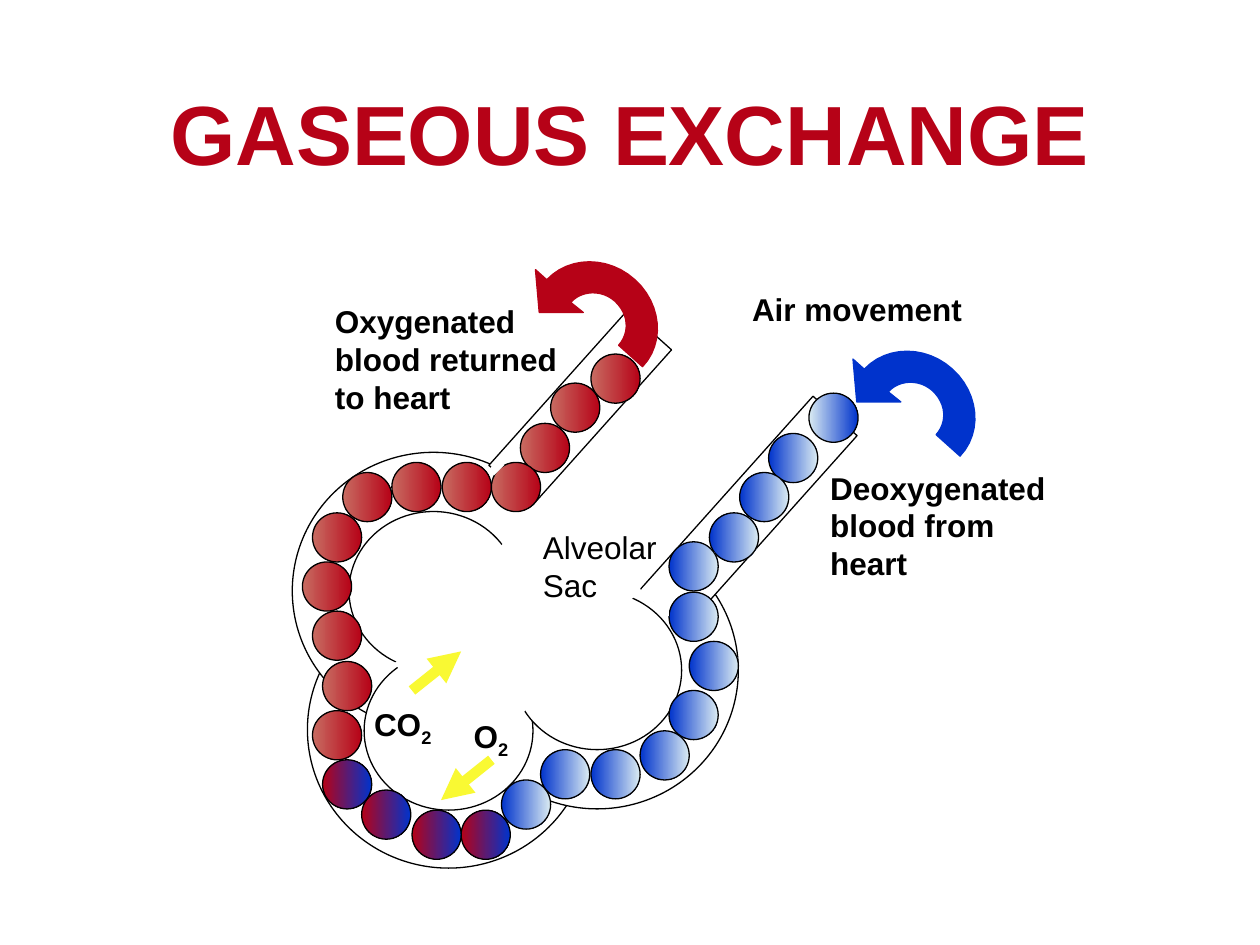
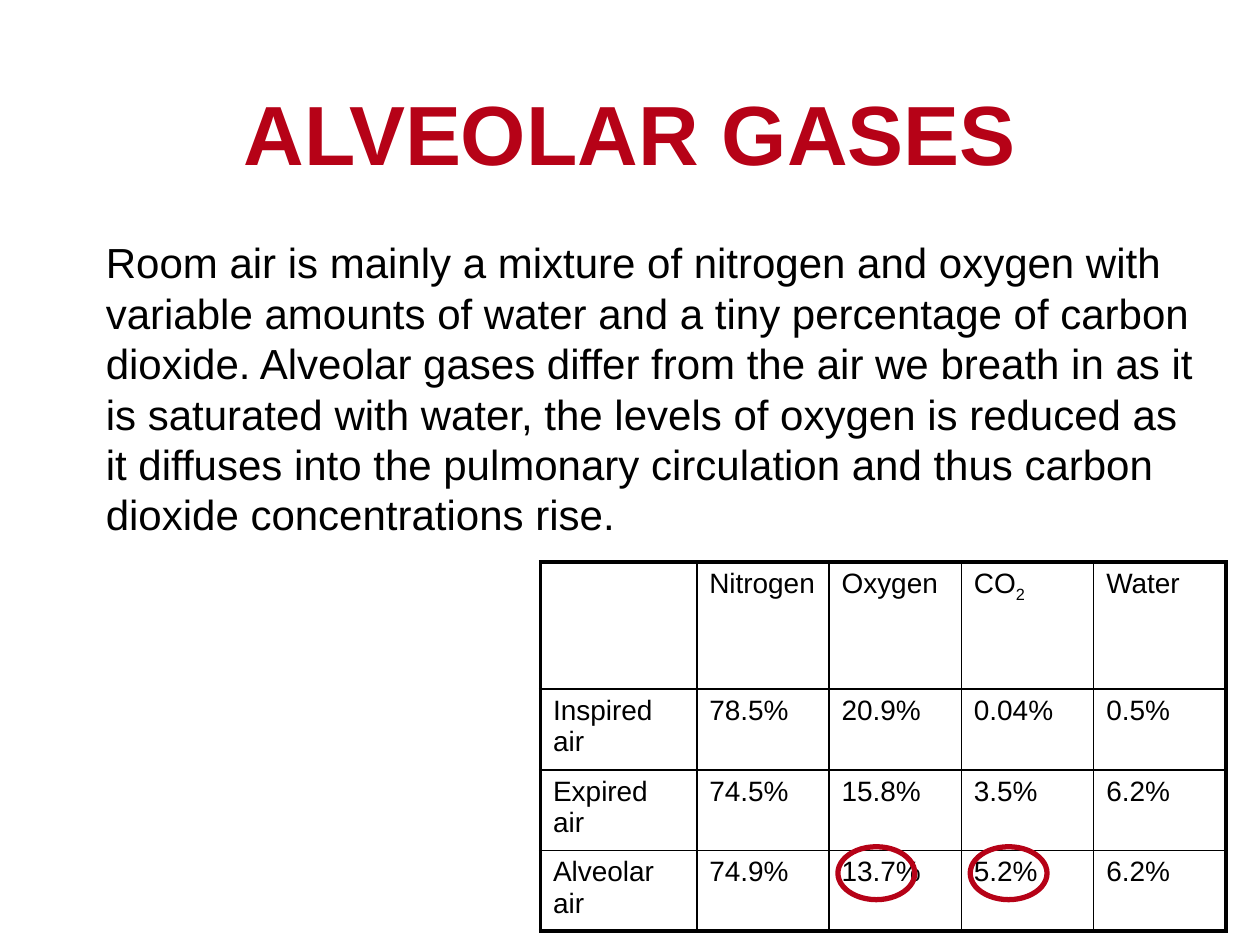
from lxml import etree
from pptx import Presentation
from pptx.dml.color import RGBColor
from pptx.enum.shapes import MSO_CONNECTOR, MSO_SHAPE
from pptx.enum.text import MSO_ANCHOR, MSO_AUTO_SIZE, PP_ALIGN
from pptx.oxml.ns import qn
from pptx.util import Inches, Pt

OVAL = MSO_SHAPE.OVAL
RECTANGLE = MSO_SHAPE.RECTANGLE
STRAIGHT = MSO_CONNECTOR.STRAIGHT
TOP = MSO_ANCHOR.TOP
NO_AUTO_SIZE = MSO_AUTO_SIZE.NONE
CENTER = PP_ALIGN.CENTER
TITLE_ONLY, TITLE_AND_CONTENT = 5, 1
FONT = "Arial"
COLORS = {
    "black": "000000",
    "white": "FFFFFF",
    "red": "B60217",
    "pale red": "C86C62",
    "blue": "0033CC",
    "pale blue": "DAEBF2",
    "yellow": "F9F933",
}
CELL_SIZE = 0.39

OXYGENATED = ("pale red", "red")
EXCHANGING = ("red", "blue")
DEOXYGENATED = ("blue", "pale blue")

SAC_WALLS = [(2.44, 4.69), (2.32, 3.59), (3.62, 4.22)]
SAC_LUMENS = [(2.89, 5.17), (2.77, 4.06), (4.07, 4.69)]
SAC_CELLS = [
    (EXCHANGING, [(3.66, 6.43), (3.27, 6.43), (2.87, 6.27), (2.56, 6.03)]),
    (DEOXYGENATED, [(3.98, 6.19), (4.29, 5.95), (4.69, 5.95), (5.08, 5.8),
                    (5.31, 5.48), (5.47, 5.09)]),
    (OXYGENATED, [(2.72, 3.75), (3.11, 3.67), (2.48, 5.64), (2.56, 5.25),
                  (2.48, 4.85), (2.4, 4.46), (2.48, 4.07)]),
]
ARRIVING_CELLS = [(6.1, 3.44), (5.87, 3.75), (5.63, 4.07), (5.31, 4.3), (5.31, 4.7)]
RETURNING_CELLS = [(4.13, 3.36), (4.37, 3.04), (4.69, 2.81), (3.51, 3.67), (3.9, 3.67)]

# Curved arrow: two Bezier curves along the inside, two back along the outside
INNER_CURVES = [[(7.05, 3.11), (7.14, 3.01), (7.3, 3.01), (7.4, 3.1)],
                [(7.4, 3.1), (7.51, 3.2), (7.52, 3.35), (7.43, 3.45)]]
OUTER_CURVES = [[(7.62, 3.62), (7.8, 3.43), (7.77, 3.12), (7.56, 2.93)],
                [(7.56, 2.93), (7.35, 2.74), (7.04, 2.74), (6.86, 2.93)]]
ARROW_HEAD = [(6.77, 2.85), (6.8, 3.19), (7.15, 3.19)]

GAS_TABLE = [
    ["", "Nitrogen", "Oxygen", "CO_2", "Water"],
    ["Inspired air", "78.5%", "20.9%", "0.04%", "0.5%"],
    ["Expired air", "74.5%", "15.8%", "3.5%", "6.2%"],
    ["Alveolar air", "74.9%", "13.7%", "5.2%", "6.2%"],
]
ROOM_AIR_TEXT = (
    "Room air is mainly a mixture of nitrogen and oxygen with variable amounts of "
    "water and a tiny percentage of carbon dioxide. Alveolar gases differ from the "
    "air we breath in as it is saturated with water, the levels of oxygen is reduced "
    "as it diffuses into the pulmonary circulation and thus carbon dioxide "
    "concentrations rise."
)


def rgb(name):
    return RGBColor.from_string(COLORS[name])


def box(*lengths):
    return [Inches(length) for length in lengths]


def curve_points(curve, steps=12):
    """Return points along a cubic Bezier curve."""
    points = []
    for step in range(steps + 1):
        t = step / steps
        weights = ((1 - t) ** 3, 3 * t * (1 - t) ** 2, 3 * t ** 2 * (1 - t), t ** 3)
        points.append(tuple(sum(w * p[axis] for w, p in zip(weights, curve))
                            for axis in (0, 1)))
    return points


class Deck:
    def __init__(self):
        self.presentation = Presentation()
        self.presentation.slide_width = Inches(10)
        self.presentation.slide_height = Inches(7.5)
        self.slide = None

    def add_slide(self, layout, title):
        layouts = self.presentation.slide_layouts
        self.slide = self.presentation.slides.add_slide(layouts[layout])
        shape = self.slide.shapes.title
        self.place(shape, 0.36, 0.6, 9.28, 1.42)
        self.set_text(shape.text_frame, title, 48, "red", bold=True)
        shape.text_frame.paragraphs[0].alignment = CENTER

    def place(self, shape, *bounds):
        shape.left, shape.top, shape.width, shape.height = box(*bounds)
        frame = shape.text_frame
        frame.word_wrap = True
        frame.auto_size = NO_AUTO_SIZE
        frame.vertical_anchor = TOP

    def set_text(self, frame, text, size, color="black", bold=False):
        """Fill the first paragraph; an underscore starts a subscript."""
        paragraph = frame.paragraphs[0]
        base, _, subscript = text.partition("_")
        paragraph.add_run().text = base
        if subscript:
            run = paragraph.add_run()
            run.text = subscript
            run.font._element.set("baseline", "-25000")
        paragraph.space_before = Pt(0)
        font = paragraph.font
        font.name, font.size, font.bold = FONT, Pt(size), bold
        font.color.rgb = rgb(color)

    def body(self, text, *bounds):
        shape = self.slide.placeholders[1]
        self.place(shape, *bounds)
        shape.text_frame.margin_top = Inches(0.1)
        properties = shape.text_frame.paragraphs[0]._p.get_or_add_pPr()
        properties.set("marL", str(Inches(0.38)))
        properties.set("indent", "0")
        etree.SubElement(properties, qn("a:buNone"))
        self.set_text(shape.text_frame, text, 24)

    def label(self, text, *bounds, bold=True):
        shape = self.slide.shapes.add_textbox(*box(*bounds))
        shape.text_frame.word_wrap = True
        self.set_text(shape.text_frame, text, 18, bold=bold)

    def paint(self, shape, fill, line, weight=0.75):
        shape.shadow.inherit = False
        if fill is None:
            shape.fill.background()
        else:
            shape.fill.solid()
            shape.fill.fore_color.rgb = rgb(fill)
        if line is None:
            shape.line.fill.background()
        else:
            shape.line.color.rgb = rgb(line)
            shape.line.width = Pt(weight)

    def shape(self, kind, *bounds, fill="white", line=None, weight=0.75, rotation=0):
        shape = self.slide.shapes.add_shape(kind, *box(*bounds))
        shape.rotation = rotation
        self.paint(shape, fill, line, weight)
        return shape

    def blood_cells(self, gradient, positions):
        for left, top in positions:
            cell = self.shape(OVAL, left, top, CELL_SIZE, CELL_SIZE, line="black")
            cell.fill.gradient()
            cell.fill.gradient_angle = 0
            for stop, color in zip(cell.fill.gradient_stops, gradient):
                stop.color.rgb = rgb(color)

    def line(self, start, end, color, weight, arrow=False):
        connector = self.slide.shapes.add_connector(STRAIGHT, *box(*start, *end))
        connector.line.color.rgb = rgb(color)
        connector.line.width = Pt(weight)
        if arrow:
            etree.SubElement(connector.line._get_or_add_ln(), qn("a:tailEnd"),
                             type="triangle")
        etree.SubElement(connector._element.spPr, qn("a:effectLst"))

    def curved_arrow(self, color, shift_x=0, shift_y=0):
        points = [point for curve in INNER_CURVES + OUTER_CURVES
                  for point in curve_points(curve)] + ARROW_HEAD
        corners = [box(x + shift_x, y + shift_y) for x, y in points]
        builder = self.slide.shapes.build_freeform(*corners[0])
        builder.add_line_segments(corners[1:], close=True)
        self.paint(builder.convert_to_shape(), color, color)

    def table(self, rows, left, top, widths, heights):
        table = self.slide.shapes.add_table(
            len(rows), len(widths),
            *box(left, top, sum(widths), sum(heights))).table
        for column, width in zip(table.columns, widths):
            column.width = Inches(width)
        for row, height in zip(table.rows, heights):
            row.height = Inches(height)
        last_row, last_column = len(rows) - 1, len(widths) - 1
        for r, texts in enumerate(rows):
            for c, text in enumerate(texts):
                cell = table.cell(r, c)
                self.border(cell, {"L": c == 0, "R": c == last_column,
                                   "T": r == 0, "B": r == last_row})
                cell.fill.solid()
                cell.fill.fore_color.rgb = rgb("white")
                if text:
                    self.set_text(cell.text_frame, text, 16)

    def border(self, cell, outer_sides):
        properties = cell._tc.get_or_add_tcPr()
        for side, is_outer in outer_sides.items():
            line = etree.SubElement(properties, qn(f"a:ln{side}"),
                                    w=str(Pt(2.25 if is_outer else 1)))
            fill = etree.SubElement(line, qn("a:solidFill"))
            etree.SubElement(fill, qn("a:srgbClr"), val=COLORS["black"])


def add_gaseous_exchange(deck):
    deck.add_slide(TITLE_ONLY, "GASEOUS EXCHANGE")

    # Alveolar sac
    for left, top in SAC_WALLS:
        deck.shape(OVAL, left, top, 2.24, 2.2, line="black")
    for left, top in SAC_LUMENS:
        deck.shape(OVAL, left, top, 1.34, 1.26, line="black")
        deck.shape(OVAL, left + 0.04, top + 0.04, 1.26, 1.18)
    deck.shape(RECTANGLE, 4.29, 3.23, 1.76, 1.08, line="white", rotation=312.1)
    deck.shape(RECTANGLE, 2.87, 3.67, 3.86, 1.02, rotation=312.1)
    for gradient, positions in SAC_CELLS:
        deck.blood_cells(gradient, positions)

    # Gases crossing the wall
    deck.label("CO_2", 2.87, 5.55, 0.79, 0.4)
    deck.line((3.27, 5.48), (3.66, 5.17), "yellow", 6, arrow=True)
    deck.label("O_2", 3.66, 5.64, 0.79, 0.4)
    deck.line((3.9, 6.03), (3.5, 6.35), "yellow", 6, arrow=True)

    # Vessels to and from the heart
    deck.shape(RECTANGLE, 4.92, 3.83, 2.05, 0.47, line="black", rotation=311.8)
    deck.blood_cells(DEOXYGENATED, ARRIVING_CELLS)
    deck.blood_cells(DEOXYGENATED[::-1], [(6.42, 3.12)])
    deck.shape(RECTANGLE, 3.78, 3, 1.65, 0.47, line="black", rotation=311.8)
    deck.blood_cells(OXYGENATED, RETURNING_CELLS)

    deck.label("Alveolar Sac", 4.21, 4.14, 1.34, 0.7, bold=False)
    deck.label("Air movement", 5.87, 2.25, 1.89, 0.4)
    deck.label("Deoxygenated blood from heart", 6.49, 3.67, 1.97, 1)
    deck.curved_arrow("blue")
    deck.curved_arrow("red", -2.52, -0.71)
    deck.label("Oxygenated blood returned to heart", 2.56, 2.35, 1.97, 1)

    # Openings where the vessels meet the sac
    deck.shape(RECTANGLE, 5.08, 4.69, 0.16, 0.08)
    deck.shape(RECTANGLE, 5.23, 4.77, 0.08, 0.08)
    for start, end in [((5.16, 4.69), (5.24, 4.77)), ((5.24, 4.85), (5.31, 4.85)),
                       ((5.08, 4.69), (5.16, 4.77)), ((5.24, 4.69), (5.24, 4.85))]:
        deck.line(start, end, "white", 6)
    deck.line((3.9, 3.75), (3.98, 3.67), "white", 4.5)


def add_alveolar_gases(deck):
    deck.add_slide(TITLE_AND_CONTENT, "ALVEOLAR GASES")
    deck.body(ROOM_AIR_TEXT, 0.36, 1.78, 9.28, 4.73)
    deck.table(GAS_TABLE, 4.29, 4.46, [1.24] + [1.05] * 4, [1.01] + [0.64] * 3)
    for left in (6.65, 7.7):
        deck.shape(OVAL, left, 6.72, 0.61, 0.42, fill=None, line="red", weight=3)


def main():
    deck = Deck()
    add_gaseous_exchange(deck)
    add_alveolar_gases(deck)
    deck.presentation.save("out.pptx")


if __name__ == "__main__":
    main()
